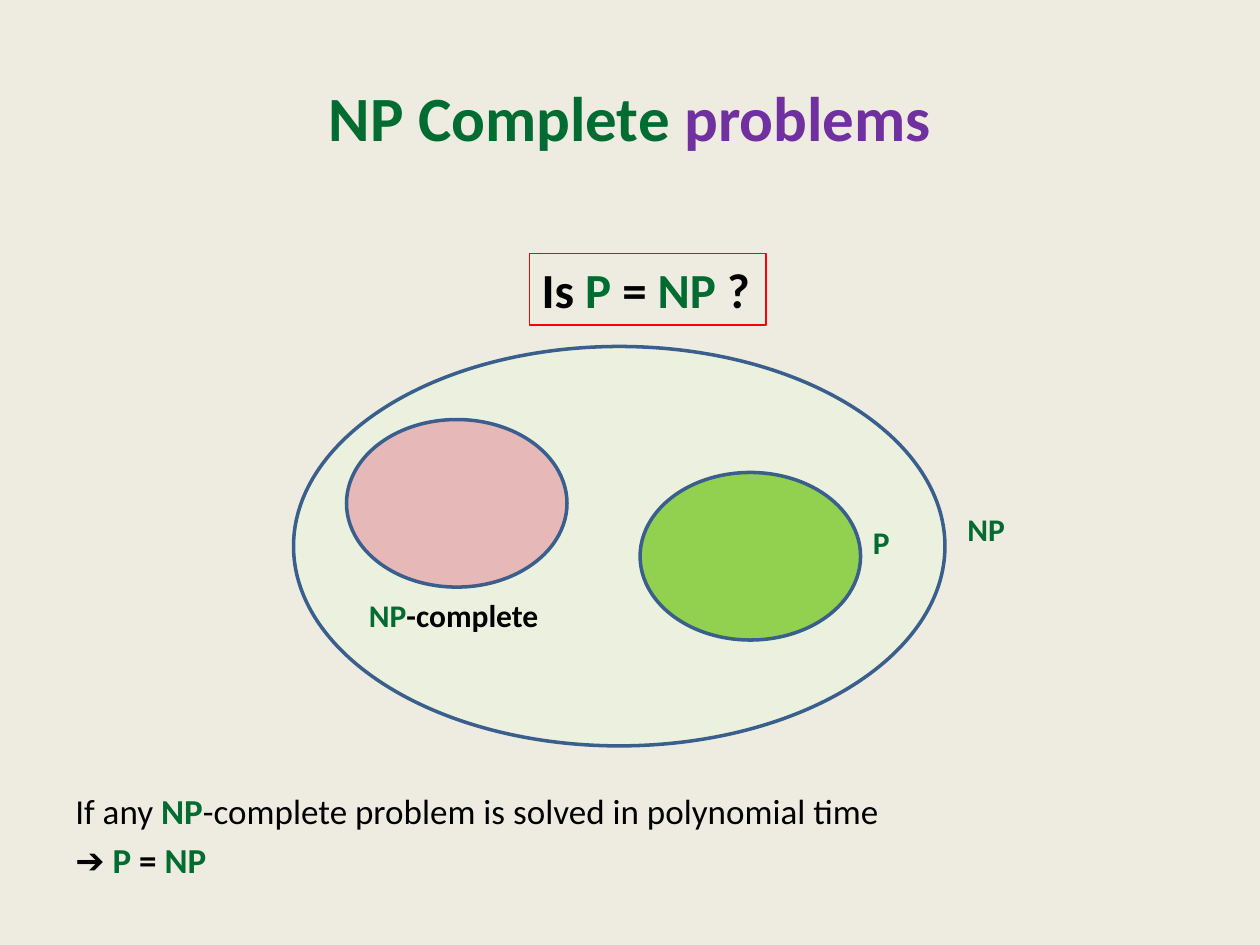
"""Build the slide that shows the classes P, NP and NP-complete as a Venn diagram."""
from dataclasses import dataclass

from pptx import Presentation
from pptx.dml.color import RGBColor
from pptx.enum.shapes import MSO_SHAPE as Shape
from pptx.enum.text import MSO_ANCHOR as Anchor, MSO_AUTO_SIZE as AutoSize, PP_ALIGN as Align
from pptx.util import Inches, Pt

GREEN, PURPLE, BLACK = "006C31", "7030A0", "000000"
BACKGROUND, OUTLINE, RED = "EEECE1", "3A5F8C", "FF0000"


@dataclass(frozen=True)
class Box:
    left: float
    top: float
    width: float
    height: float

    def lengths(self) -> list:
        return [Inches(value) for value in (self.left, self.top, self.width, self.height)]


@dataclass(frozen=True)
class Run:
    text: str
    color: str = GREEN
    bold: bool = True


@dataclass(frozen=True)
class ProblemClass:
    ellipse: Box
    fill: str
    label: Box
    runs: tuple


def color(value: str) -> RGBColor:
    return RGBColor.from_string(value)


def write(shape, lines: list, size: float, align=Align.LEFT, space=0, **frame_format) -> None:
    frame = shape.text_frame
    for name, value in frame_format.items():
        setattr(frame, name, value)
    for index, runs in enumerate(lines):
        paragraph = frame.paragraphs[0] if index == 0 else frame.add_paragraph()
        paragraph.alignment = align
        paragraph.space_before = Pt(space)
        for part in runs:
            run = paragraph.add_run()
            run.text = part.text
            run.font.color.rgb = color(part.color)
            font_format = {"name": "Calibri", "size": Pt(size), "bold": part.bold}
            for name, value in font_format.items():
                setattr(run.font, name, value)


def add_outlined(shapes, kind: Shape, box: Box, line: str, width: float, fill: str = ""):
    shape = shapes.add_shape(kind, *box.lengths())
    shape.shadow.inherit = False
    if fill:
        shape.fill.solid()
        shape.fill.fore_color.rgb = color(fill)
    else:
        shape.fill.background()
    shape.line.color.rgb = color(line)
    shape.line.width = Pt(width)
    return shape


def add_class(slide, problem_class: ProblemClass) -> None:
    shapes = slide.shapes.add_group_shape().shapes
    add_outlined(shapes, Shape.OVAL, problem_class.ellipse, OUTLINE, 2, problem_class.fill)
    label = shapes.add_textbox(*problem_class.label.lengths())
    write(label, [problem_class.runs], 18, **LABEL_FORMAT)


LABEL_FORMAT = {"word_wrap": False, "auto_size": AutoSize.SHAPE_TO_FIT_TEXT}
TITLE = [[Run("NP Complete "), Run("problems", PURPLE)]]
QUESTION = [[Run("Is ", BLACK), Run("P"), Run(" = ", BLACK), Run("NP"), Run(" ?", BLACK)]]
CONCLUSION = [
    [Run("If any ", BLACK, False), Run("NP"),
     Run("-complete problem is solved in polynomial time", BLACK, False)],
    [Run("➔ ", BLACK, False), Run("P"), Run(" = ", BLACK), Run("NP")],
]
NP_CLASS = ProblemClass(
    Box(2.33, 2.75, 5.17, 3.17), "EBF1DE", Box(7.58, 4, 0.5, 0.4), (Run("NP"),))
INNER_CLASSES = [
    ProblemClass(Box(2.75, 3.33, 1.75, 1.33), "E6B9B8", Box(2.83, 4.68, 1.56, 0.4),
                 (Run("NP"), Run("-complete", BLACK))),
    ProblemClass(Box(5.08, 3.75, 1.75, 1.33), "92D050", Box(6.83, 4.1, 0.34, 0.4),
                 (Run("P"),)),
]


def main() -> None:
    presentation = Presentation()
    presentation.slide_width, presentation.slide_height = Inches(10), Inches(7.5)
    slide = presentation.slides.add_slide(presentation.slide_layouts[6])
    slide.background.fill.solid()
    slide.background.fill.fore_color.rgb = color(BACKGROUND)

    title = slide.shapes.add_textbox(*Box(0.5, 0.3, 9, 1.25).lengths())
    write(title, TITLE, 36, Align.CENTER, word_wrap=True, vertical_anchor=Anchor.MIDDLE)
    conclusion = slide.shapes.add_textbox(*Box(0.5, 6.19, 9, 0.85).lengths())
    write(conclusion, CONCLUSION, 20, space=4, word_wrap=True, vertical_anchor=Anchor.BOTTOM)

    add_class(slide, NP_CLASS)
    question = add_outlined(
        slide.shapes, Shape.RECTANGLE, Box(4.2, 2.01, 1.88, 0.57), RED, 0.75)
    write(question, QUESTION, 28, **LABEL_FORMAT)
    for problem_class in INNER_CLASSES:
        add_class(slide, problem_class)
    presentation.save("out.pptx")


main()
